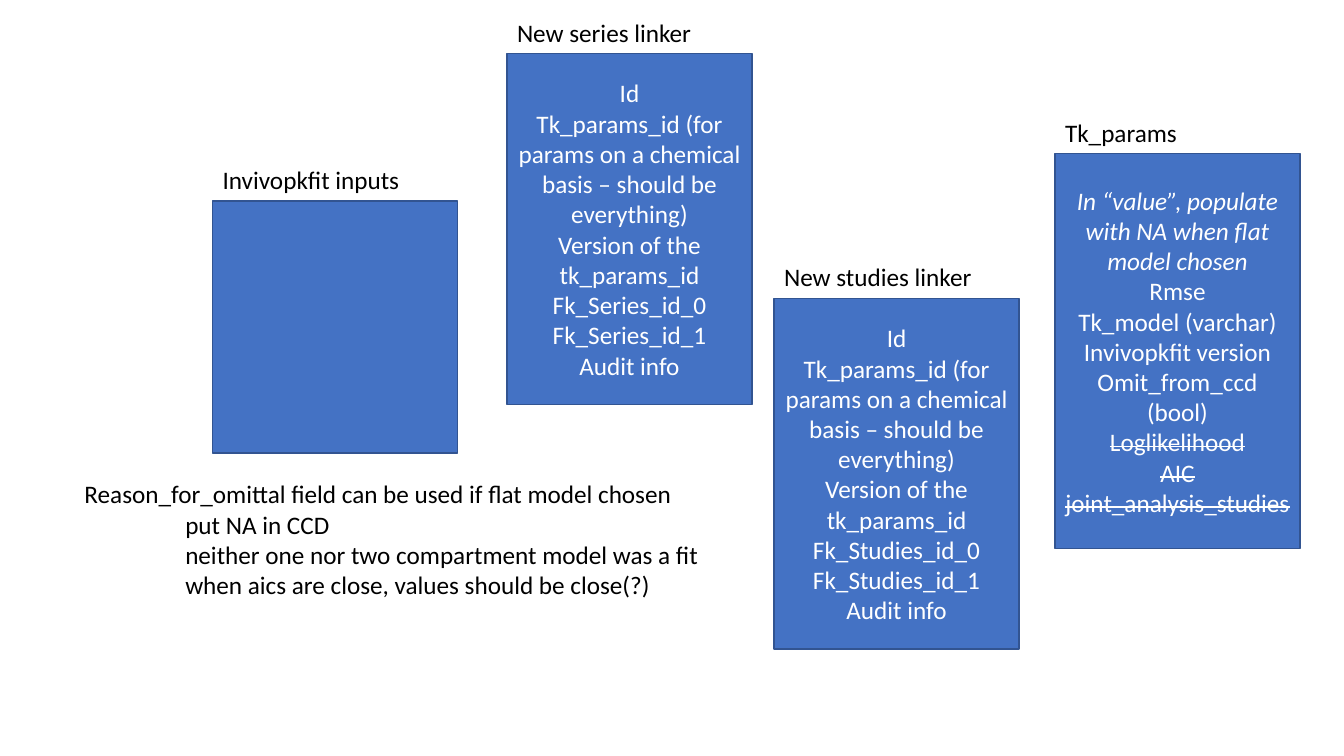
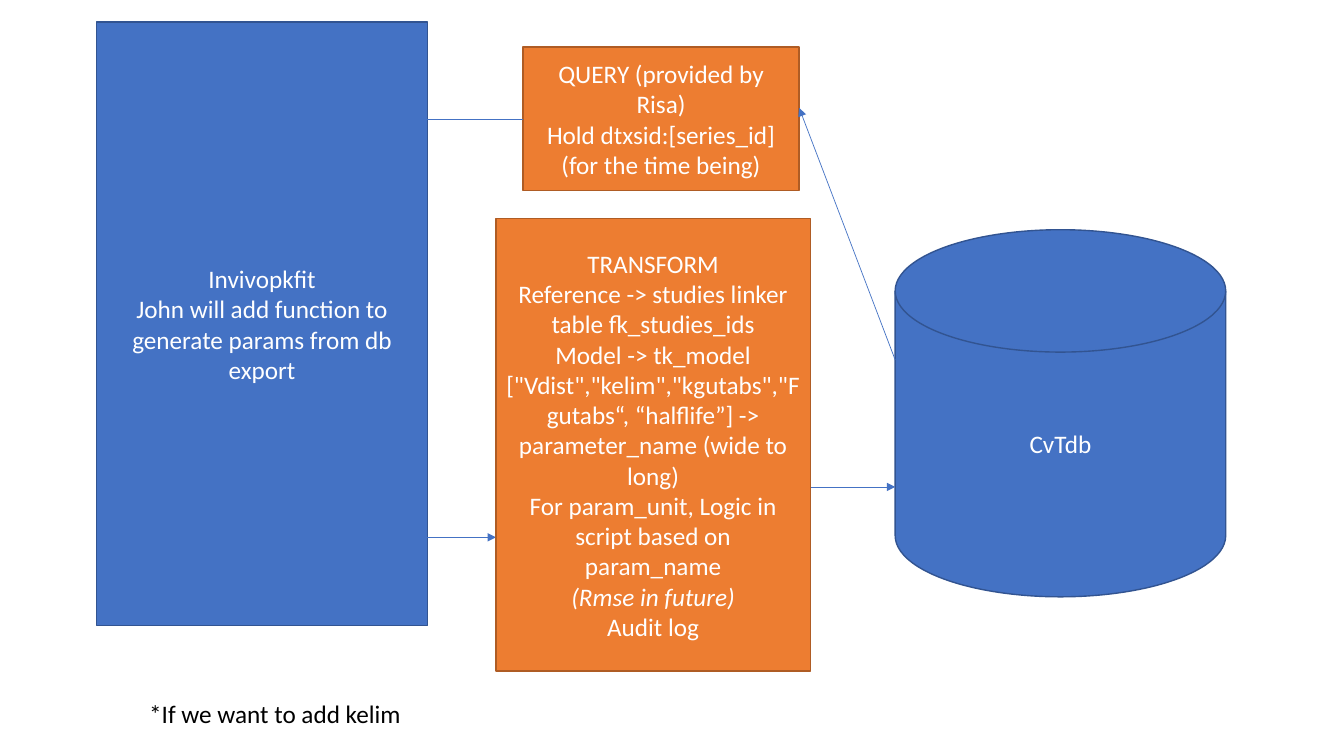
import pptx
import pptx.util
import pptx.dml.color
import pptx.enum.shapes
import pptx.enum.text
import pptx.oxml.ns
from dataclasses import dataclass
from lxml import etree

Cm = pptx.util.Cm
Pt = pptx.util.Pt
RGB = pptx.dml.color.RGBColor.from_string
SHAPES = pptx.enum.shapes.MSO_SHAPE
TEXT = pptx.enum.text
qn = pptx.oxml.ns.qn


@dataclass(frozen=True)
class Theme:
    font: str = "Calibri"
    size: int = 18
    ink: str = "000000"
    paper: str = "FFFFFF"
    blue: tuple = ("4472C4", "325491")  # fill, outline
    orange: tuple = ("ED7D31", "AF5C24")
    outline: float = 1
    arrow: float = 0.5


theme = Theme()


def write(frame, lines, colour, alignment):
    """Fill a text frame with one paragraph per line."""
    frame.text = "\n".join(lines)
    for paragraph in frame.paragraphs:
        paragraph.alignment = alignment
        paragraph.font.name = theme.font
        paragraph.font.size = Pt(theme.size)
        paragraph.font.color.rgb = RGB(colour)
    return frame.paragraphs


def place(slide, area, lines, colours=None, kind=SHAPES.RECTANGLE):
    """Add a filled shape, or a plain text box when no colours are given."""
    area = [Cm(length) for length in area]
    if colours is None:
        frame = slide.shapes.add_textbox(*area).text_frame
        frame.word_wrap = False
        frame.auto_size = TEXT.MSO_AUTO_SIZE.SHAPE_TO_FIT_TEXT
        return write(frame, lines, theme.ink, TEXT.PP_ALIGN.LEFT)
    shape = slide.shapes.add_shape(kind, *area)
    shape.shadow.inherit = False
    shape.fill.solid()
    shape.fill.fore_color.rgb = RGB(colours[0])
    shape.line.color.rgb = RGB(colours[1])
    shape.line.width = Pt(theme.outline)
    shape.text_frame.vertical_anchor = TEXT.MSO_ANCHOR.MIDDLE
    return write(shape.text_frame, lines, theme.paper, TEXT.PP_ALIGN.CENTER)


deck = pptx.Presentation()
deck.slide_width, deck.slide_height = Cm(33.87), Cm(19.05)
blank = deck.slide_layouts[6]

# Slide 1: tables, each with its name above
tables_slide = deck.slides.add_slide(blank)
table_width, name_height, name_rise = 6.17, 1.02, 1.05

linker_fields = [
    "Id",
    "Tk_params_id (for params on a chemical basis – should be everything)",
    "Version of the tk_params_id",
]
series_fields, studies_fields = (
    linker_fields + [f"Fk_{key}_id_{n}" for n in range(2)] + ["Audit info"]
    for key in ("Series", "Studies")
)
params_fields = [
    "In “value”, populate with NA when flat model chosen",
    "Rmse",
    "Tk_model (varchar)",
    "Invivopkfit version",
    "Omit_from_ccd (bool)",
    "Loglikelihood",
    "AIC",
    "joint_analysis_studies",
]
dropped_fields = params_fields[-3:]

# name, name width, left, top, height, fields
tables = [
    ("Invivopkfit inputs", 5.0, 5.36, 5.07, 6.35, []),
    ("New series linker", 4.95, 12.78, 1.35, 8.84, series_fields),
    ("Tk_params", 3.35, 26.59, 3.87, 9.96, params_fields),
    ("New studies linker", 5.28, 19.51, 7.52, 8.84, studies_fields),
]
for name, name_width, left, top, height, fields in tables:
    field_lines = place(tables_slide, (left, top, table_width, height), fields, theme.blue)
    place(tables_slide, (left, top - name_rise, name_width, name_height), [name])
    for line in field_lines:
        if line.text == params_fields[0]:
            line.font.italic = True
        if line.text in dropped_fields:
            line.runs[0]._r.get_or_add_rPr().set("strike", "sngStrike")

# Omission notes, indented under their first line
omission_notes = place(tables_slide, (1.88, 11.94, 16.15, 3.33), [
    "Reason_for_omittal field can be used if flat model chosen",
    "put NA in CCD",
    "neither one nor two compartment model was a fit",
    "when aics are close, values should be close(?)",
])
for note in omission_notes[1:]:
    note._p.get_or_add_pPr().set("marL", str(Cm(2.54)))

# Slide 2: data flow between the fitting package and the database
flow_slide = deck.slides.add_slide(blank)
place(flow_slide, (2.44, 0.56, 8.33, 15.21), [
    "Invivopkfit",
    "John will add function to generate params from db export",
], theme.blue)
place(flow_slide, (13.18, 1.19, 6.96, 3.61), [
    "QUERY (provided by Risa)",
    "Hold dtxsid:[series_id] (for the time being)",
], theme.orange)
place(flow_slide, (22.56, 5.79, 8.33, 9.25), ["CvTdb"], theme.blue,
      SHAPES.FLOWCHART_MAGNETIC_DISK)

# Arrows
flows = [
    (22.56, 9.07, 20.14, 2.72),  # database to query
    (13.18, 3.0, 10.52, 3.0),  # query to package
    (20.4, 12.27, 22.56, 12.27),  # transform to database
    (10.77, 13.54, 12.5, 13.54),  # package to transform
]
for ends in flows:
    flow = flow_slide.shapes.add_connector(
        pptx.enum.shapes.MSO_CONNECTOR.STRAIGHT, *[Cm(end) for end in ends])
    flow.line.color.rgb = RGB(theme.blue[0])
    flow.line.width = Pt(theme.arrow)
    etree.SubElement(flow.line._get_or_add_ln(), qn("a:tailEnd"), type="triangle")
    etree.SubElement(flow._element.spPr, qn("a:effectLst"))

transform_steps = place(flow_slide, (12.5, 5.51, 7.92, 11.4), [
    "TRANSFORM",
    "Reference -> studies linker table fk_studies_ids",
    "Model -> tk_model",
    '["Vdist","kelim","kgutabs","Fgutabs“, “halflife”] -> parameter_name (wide to long)',
    "For param_unit, Logic in script based on param_name",
    "(Rmse in future)",
    "Audit log",
], theme.orange)
transform_steps[5].font.italic = True

# Footnote
place(flow_slide, (3.51, 17.48, 6.93, 1.02), ["*If we want to add kelim"])

deck.save("out.pptx")
